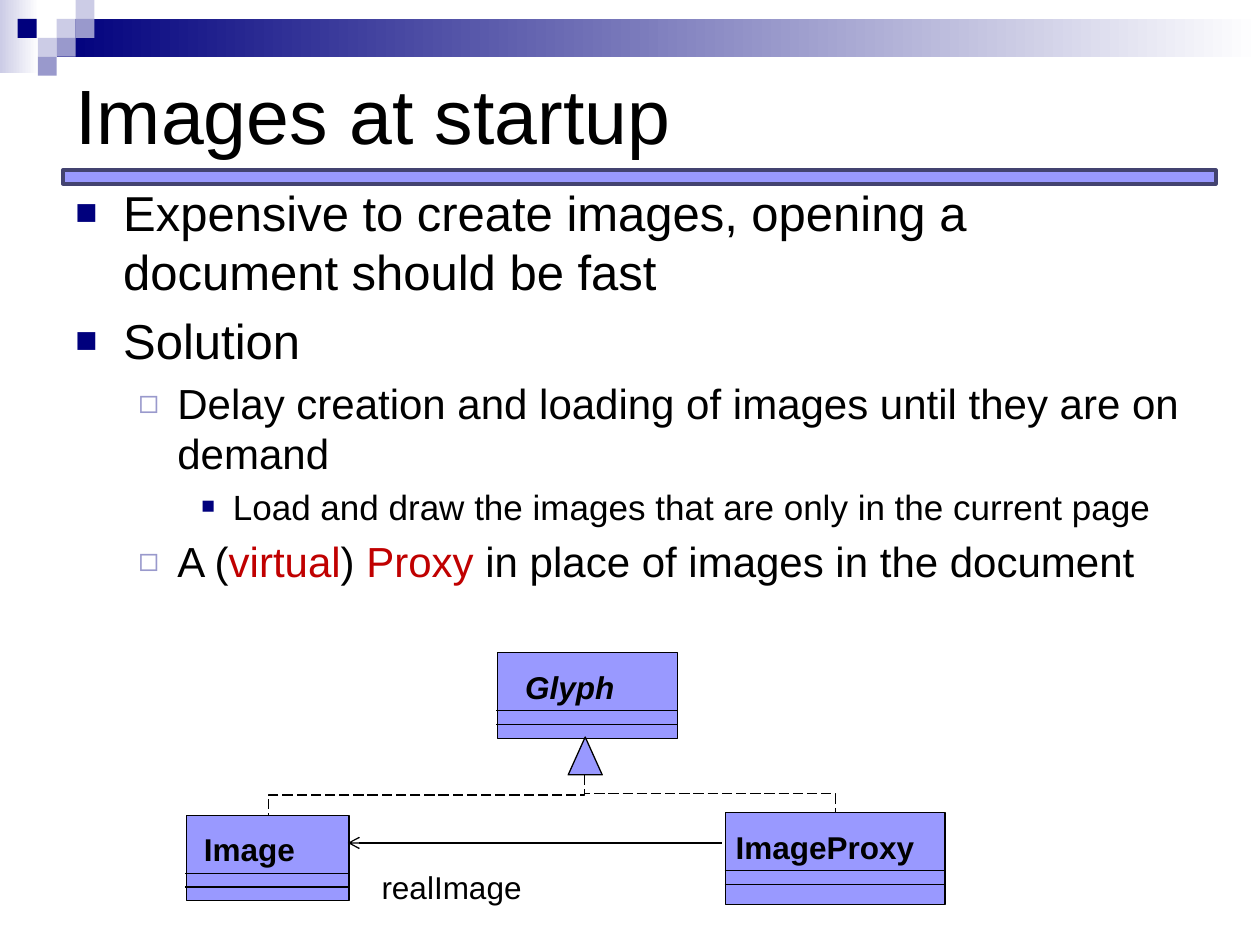
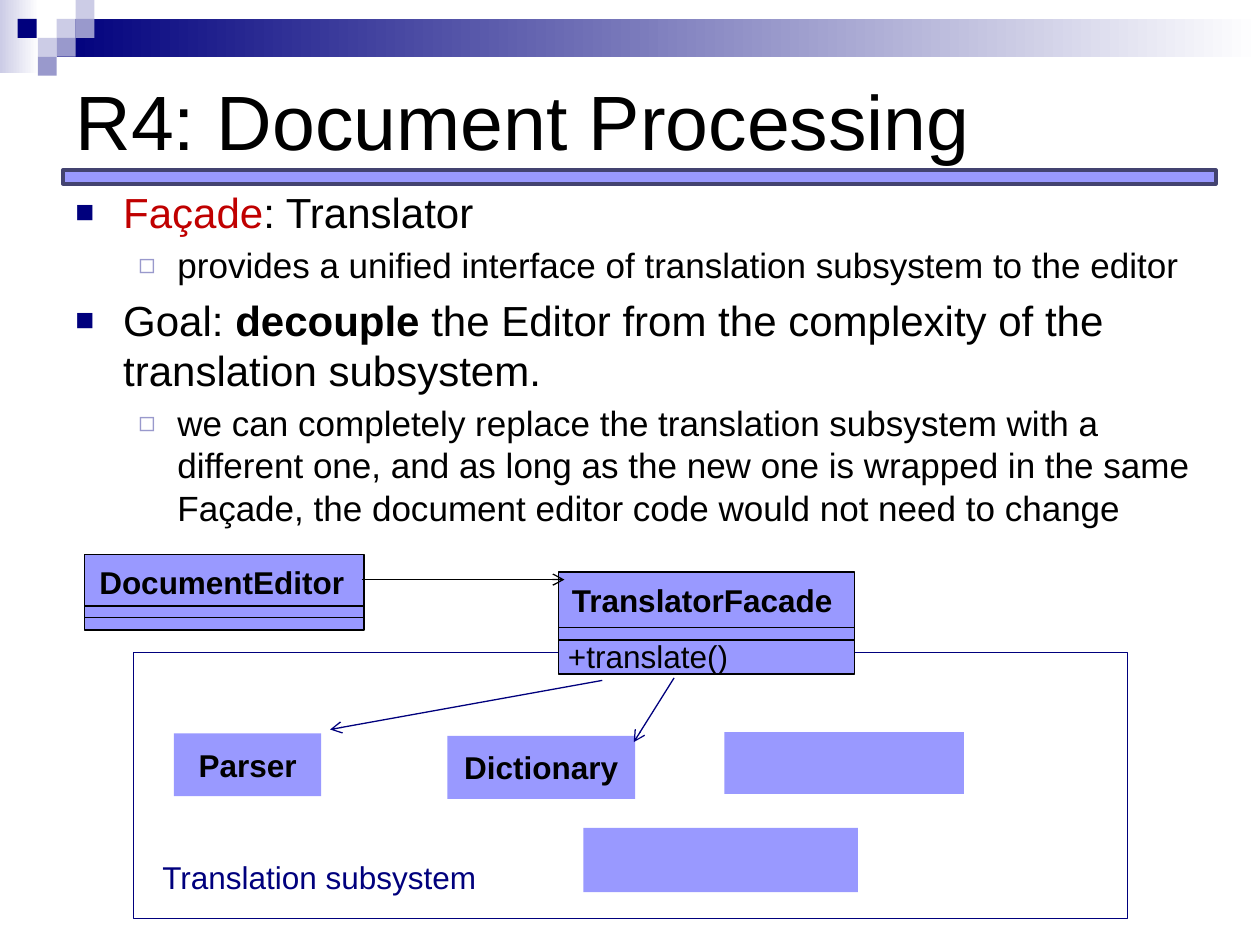
from dataclasses import dataclass
from typing import NamedTuple

from lxml.etree import SubElement
from pptx import Presentation
from pptx.dml.color import RGBColor
from pptx.enum.dml import MSO_LINE
from pptx.enum.shapes import MSO_CONNECTOR as Link, MSO_SHAPE as Preset
from pptx.enum.text import MSO_ANCHOR as Anchor, MSO_AUTO_SIZE as AutoSize, PP_ALIGN as Align
from pptx.oxml.ns import qn
from pptx.util import Inches, Pt

FONT = "Arial"
BLACK = RGBColor(0x00, 0x00, 0x00)
WHITE = RGBColor(0xFF, 0xFF, 0xFF)
NAVY = RGBColor(0x00, 0x00, 0x7D)
RED = RGBColor(0xC0, 0x00, 0x00)
PERIWINKLE = RGBColor(0x99, 0x99, 0xFF)
SLATE = RGBColor(0x43, 0x43, 0x70)
LAVENDER = RGBColor(0x99, 0x99, 0xCC)
PALE = RGBColor(0xCC, 0xCC, 0xE6)
THIN = 0.75
LABEL_SIZE = 18
LABEL_HEIGHT = 0.4


class Area(NamedTuple):
    left: float
    top: float
    width: float
    height: float


class Point(NamedTuple):
    x: float
    y: float


class Run(NamedTuple):
    text: str
    color: RGBColor = BLACK
    bold: bool = False


class BulletStyle(NamedTuple):
    indent: float
    hanging: float
    mark: str
    color: RGBColor
    percent: int


@dataclass
class Bullet:
    level: int
    size: int
    runs: list[Run]


@dataclass
class ClassBox:
    name: str
    area: Area
    label: Point
    label_width: float
    rules: tuple[float, float]
    rule_shift: float = 0
    italic: bool = False


BULLET_STYLES = [
    BulletStyle(0.38, 0.38, "■", NAVY, 75),
    BulletStyle(0.81, 0.31, "◻", LAVENDER, 80),
    BulletStyle(1.25, 0.25, "■", NAVY, 65),
]

# Corner mosaic: left, top and colour of each tile
TILE = 0.15
TILES = [
    (0.45, 0.15, PALE), (0.6, 0, PALE), (0.6, 0.15, LAVENDER), (0.3, 0.3, PALE),
    (0.14, 0.15, NAVY), (0.45, 0.3, LAVENDER), (0.3, 0.45, LAVENDER),
]


def inches(values) -> list:
    return [Inches(value) for value in values]


def write(paragraph, text: str, *, size: float = LABEL_SIZE, color: RGBColor = BLACK,
          bold: bool = False, italic: bool = False) -> None:
    run = paragraph.add_run()
    run.text = text
    font = run.font
    font.name, font.size = FONT, Pt(size)
    font.bold, font.italic = bold, italic
    font.color.rgb = color


def add_box(slide, area: Area, fill: RGBColor | None = PERIWINKLE, line: RGBColor | None = None,
            width: float = THIN, preset=Preset.RECTANGLE):
    box = slide.shapes.add_shape(preset, *inches(area))
    box.shadow.inherit = False
    if fill is None:
        box.fill.background()
    else:
        box.fill.solid()
        box.fill.fore_color.rgb = fill
    if line is None:
        box.line.fill.background()
    else:
        box.line.color.rgb = line
        box.line.width = Pt(width)
    return box


def add_fade(slide, area: Area, color: RGBColor) -> None:
    fill = add_box(slide, area).fill
    fill.gradient()
    fill.gradient_angle = 0
    for stop, stop_color, position in zip(fill.gradient_stops, (color, WHITE), (0, 1)):
        stop.color.rgb = stop_color
        stop.position = position


def add_label(slide, area: Area, text: str, **text_format) -> None:
    frame = slide.shapes.add_textbox(*inches(area)).text_frame
    frame.word_wrap = True
    write(frame.paragraphs[0], text, **text_format)


def add_line(slide, start: Point, end: Point, color: RGBColor = BLACK, arrow: bool = False,
             kind=Link.STRAIGHT):
    line = slide.shapes.add_connector(kind, *inches((*start, *end)))
    line.line.color.rgb = color
    line.line.width = Pt(THIN)
    properties = line._element.spPr
    if arrow:
        SubElement(properties.find(qn("a:ln")), qn("a:tailEnd"), type="arrow")
    SubElement(properties, qn("a:effectLst"))
    return line


def add_drop_elbow(slide, start: Point, end: Point) -> None:
    """Dashed elbow that leaves downwards: a sideways elbow turned about its centre."""
    center = Point((start.x + end.x) / 2, (start.y + end.y) / 2)
    half_x, half_y = abs(end.x - start.x) / 2, (end.y - start.y) / 2
    to_right = end.x > start.x
    reach = half_y if to_right else -half_y
    elbow = add_line(slide, Point(center.x + reach, center.y - half_x),
                     Point(center.x - reach, center.y + half_x), kind=Link.ELBOW)
    elbow.line.dash_style = MSO_LINE.LONG_DASH
    degrees = 270 if to_right else 90
    elbow._element.spPr.find(qn("a:xfrm")).set("rot", str(degrees * 60000))


def add_class(slide, item: ClassBox) -> None:
    add_box(slide, item.area, line=BLACK)
    add_label(slide, Area(*item.label, item.label_width, LABEL_HEIGHT), item.name,
              bold=True, italic=item.italic)
    left = item.area.left + item.rule_shift
    for y in item.rules:
        add_line(slide, Point(left, y), Point(left + item.area.width, y))


def add_bullets(slide, area: Area, bullets: list[Bullet]) -> None:
    frame = slide.shapes.add_textbox(*inches(area)).text_frame
    frame.word_wrap = True
    for index, bullet in enumerate(bullets):
        paragraph = frame.add_paragraph() if index else frame.paragraphs[0]
        paragraph.level = bullet.level
        paragraph.space_before = Pt(bullet.size * 0.2)
        style = BULLET_STYLES[bullet.level]
        properties = paragraph._p.get_or_add_pPr()
        properties.set("marL", str(Inches(style.indent)))
        properties.set("indent", str(-Inches(style.hanging)))
        color = SubElement(properties, qn("a:buClr"))
        SubElement(color, qn("a:srgbClr"), val=str(style.color))
        SubElement(properties, qn("a:buSzPct"), val=str(style.percent * 1000))
        SubElement(properties, qn("a:buFont"), typeface=FONT)
        SubElement(properties, qn("a:buChar"), char=style.mark)
        for run in bullet.runs:
            write(paragraph, run.text, size=bullet.size, color=run.color, bold=run.bold)


def add_titled_slide(deck, title: str, title_top: float):
    slide = deck.slides.add_slide(deck.slide_layouts[5])
    heading = slide.shapes.title
    heading.left, heading.top, heading.width, heading.height = inches((0.5, title_top, 9, 1.5))
    frame = heading.text_frame
    frame.auto_size = AutoSize.NONE
    frame.vertical_anchor = Anchor.MIDDLE
    frame.paragraphs[0].alignment = Align.LEFT
    write(frame.paragraphs[0], title, size=44)

    # Top band, mosaic and rule under the title
    add_fade(slide, Area(0, 0, 0.31, 0.58), PALE)
    add_fade(slide, Area(0.45, 0.15, 9.55, 0.3), NAVY)
    for left, top, color in TILES:
        add_box(slide, Area(left, top, TILE, TILE), color)
    add_box(slide, Area(0.5, 1.35, 9.15, 0.11), line=SLATE, width=2)
    return slide


def build_images_slide(deck) -> None:
    slide = add_titled_slide(deck, "Images at startup", 0.15)
    add_bullets(slide, Area(0.5, 1.4, 9, 4.96), [
        Bullet(0, 28, [Run("Expensive to create images, opening a document should be fast")]),
        Bullet(0, 28, [Run("Solution")]),
        Bullet(1, 24, [Run("Delay creation and loading of images until they are on demand")]),
        Bullet(2, 20, [Run("Load and draw the images that are only in the current page")]),
        Bullet(1, 24, [Run("A ("), Run("virtual", RED), Run(") "), Run("Proxy", RED),
                       Run(" in place of images in the document")]),
    ])

    # Proxy class diagram
    for item in (
        ClassBox("Image", Area(1.48, 6.47, 1.29, 0.68), Point(1.52, 6.54), 1.22,
                 (6.93, 7.04), -0.01),
        ClassBox("ImageProxy", Area(5.76, 6.45, 1.74, 0.73), Point(5.74, 6.52), 2.26,
                 (6.91, 7.02), -0.01),
        ClassBox("Glyph", Area(3.95, 5.18, 1.43, 0.68), Point(4.07, 5.25), 1.35,
                 (5.64, 5.75), -0.01, italic=True),
    ):
        add_class(slide, item)
    add_box(slide, Area(4.51, 5.85, 0.27, 0.3), line=BLACK, preset=Preset.ISOSCELES_TRIANGLE)
    triangle_base = Point(4.64, 6.15)
    for subclass_top in (Point(6.63, 6.45), Point(2.13, 6.47)):
        add_drop_elbow(slide, triangle_base, subclass_top)
    add_line(slide, Point(5.73, 6.69), Point(2.76, 6.69), arrow=True)
    add_label(slide, Area(2.93, 6.84, 1.4, LABEL_HEIGHT), "realImage")


def build_processing_slide(deck) -> None:
    slide = add_titled_slide(deck, "R4: Document Processing", 0.2)
    add_bullets(slide, Area(0.5, 1.43, 9.26, 2.62), [
        Bullet(0, 24, [Run("Façade", RED), Run(": Translator")]),
        Bullet(1, 20, [Run("provides a unified interface of translation subsystem to the editor")]),
        Bullet(0, 24, [Run("Goal: "), Run("decouple", bold=True),
                       Run(" the Editor from the complexity of the translation subsystem.")]),
        Bullet(1, 20, [Run("we can completely replace the translation subsystem with a different "
                           "one, and as long as the new one is wrapped in the same Façade, the "
                           "document editor code would not need to change")]),
    ])

    # Subsystem frame, editor and facade
    add_box(slide, Area(1.06, 5.18, 7.89, 2.11), fill=None, line=NAVY)
    add_class(slide, ClassBox("TranslatorFacade", Area(4.43, 4.54, 2.35, 0.81),
                              Point(4.44, 4.56), 2.4, (4.98, 5.08)))
    add_label(slide, Area(4.41, 5.01, 1.6, LABEL_HEIGHT), "+translate()")
    add_class(slide, ClassBox("DocumentEditor", Area(0.67, 4.4, 2.22, 0.6),
                              Point(0.69, 4.42), 2.2, (4.81, 4.9)))
    add_line(slide, Point(2.87, 4.6), Point(4.48, 4.6), arrow=True)

    # Parts of the subsystem, two of them unnamed
    for name, area in (
        ("Parser", Area(1.38, 5.82, 1.17, 0.5)),
        ("Dictionary", Area(3.55, 5.84, 1.49, 0.5)),
        ("", Area(5.75, 5.81, 1.9, 0.49)),
        ("", Area(4.63, 6.57, 2.18, 0.51)),
    ):
        part = add_box(slide, area)
        if name:
            frame = part.text_frame
            frame.word_wrap = False
            frame.vertical_anchor = Anchor.MIDDLE
            frame.paragraphs[0].alignment = Align.CENTER
            write(frame.paragraphs[0], name, bold=True)
    add_line(slide, Point(4.78, 5.4), Point(2.62, 5.79), NAVY, arrow=True)
    add_line(slide, Point(5.35, 5.38), Point(5.03, 5.89), NAVY, arrow=True)
    add_label(slide, Area(1.19, 6.76, 2.8, LABEL_HEIGHT), "Translation subsystem", color=NAVY)


def main() -> None:
    deck = Presentation()
    deck.slide_width, deck.slide_height = Inches(10), Inches(7.5)
    build_images_slide(deck)
    build_processing_slide(deck)
    deck.save("out.pptx")


if __name__ == "__main__":
    main()
